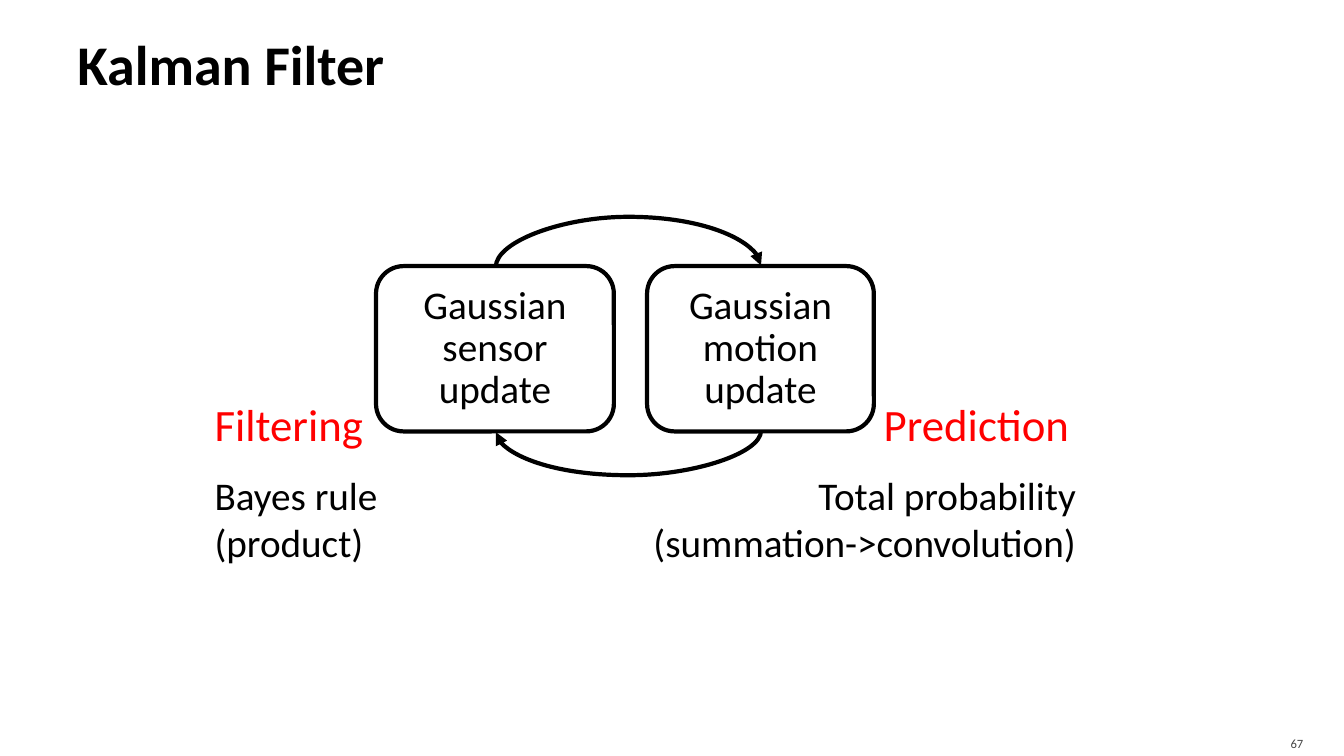
from dataclasses import dataclass

from lxml import etree
from pptx import Presentation
from pptx.dml.color import RGBColor
from pptx.enum import shapes, text
from pptx.oxml import ns
from pptx.util import Pt

HUES = {"ink": "000000", "red": "FF0000", "gray": "454545"}
FONT = "Calibri"
LEFT, RIGHT = text.PP_ALIGN.LEFT, text.PP_ALIGN.RIGHT
MID, TOP = text.MSO_ANCHOR.MIDDLE, text.MSO_ANCHOR.TOP
EDGE = 3
BOX_TOP, BOX_TALL = 190.1, 118.1
ARC_MID, ARC_SPAN = 448.9, 189.4


@dataclass
class Step:
    words: str
    left: float
    wide: float


@dataclass
class Arc:
    """Arrow between the steps; bulge is its height in points."""
    level: float
    bulge: float
    back: bool


@dataclass
class Label:
    words: str
    area: tuple[float, float, float, float]
    size: float
    hue: str = "ink"
    align: int = LEFT
    anchor: int = TOP
    bold: bool = False
    wrap: bool = True
    pad: tuple[float, float, float, float] = (7.2, 3.6, 7.2, 3.6)


STEPS = [
    Step("Gaussian sensor update", 268.6, 169.9),
    Step("Gaussian motion update", 462.2, 162),
]
ARCS = [
    Arc(BOX_TOP, 36, False),
    Arc(BOX_TOP + BOX_TALL, 32, True),
]
LABELS = [
    Label("Kalman Filter", (48.2, 5.8, 864, 77.8), 40, anchor=MID, bold=True,
          pad=(7.2, 3.6, 3.6, 3.6)),
    Label("67", (861.1, 518.4, 77, 21.6), 9, "gray", RIGHT, MID,
          pad=(7.2, 3.6, 7.2, 0)),
    Label("Bayes rule (product)", (146.2, 333.4, 139.7, 74.9), 28),
    Label("Total probability (summation->convolution)",
          (438.5, 333.4, 337, 74.9), 28, align=RIGHT),
    Label("Prediction", (624.2, 280.1, 154.1, 46.1), 32, "red", wrap=False),
    Label("Filtering", (146.2, 280.1, 126.7, 46.1), 32, "red", wrap=False),
]


def tint(hue: str) -> RGBColor:
    return RGBColor.from_string(HUES[hue])


def write(frame, words: str, *, size: float, hue: str = "ink",
          align=LEFT, anchor=TOP, bold: bool = False, wrap: bool = True,
          pad=(0, 0, 0, 0), pitch: float = 1) -> None:
    frame.word_wrap = wrap
    frame.vertical_anchor = anchor
    (frame.margin_left, frame.margin_top,
     frame.margin_right, frame.margin_bottom) = map(Pt, pad)
    para = frame.paragraphs[0]
    para.alignment = align
    para.line_spacing = pitch
    run = para.add_run()
    run.text = words
    run.font.name = FONT
    run.font.size = Pt(size)
    run.font.bold = bold
    run.font.color.rgb = tint(hue)


def draw_step(slide, step: Step) -> None:
    area = map(Pt, (step.left, BOX_TOP, step.wide, BOX_TALL))
    box = slide.shapes.add_shape(shapes.MSO_SHAPE.ROUNDED_RECTANGLE, *area)
    box.shadow.inherit = False
    box.fill.background()
    box.line.color.rgb = tint("ink")
    box.line.width = Pt(EDGE)
    write(box.text_frame, step.words, size=28, align=text.PP_ALIGN.CENTER,
          anchor=MID, pitch=0.9)


def draw_arc(slide, arc: Arc) -> None:
    """Turn a one-point-wide curve by 90 degrees, bulging by its adjustment."""
    side = -1 if arc.back else 1
    dx, dy = side * 0.5, side * ARC_SPAN / 2
    ends = (ARC_MID + dx, arc.level + dy, ARC_MID - dx, arc.level - dy)
    line = slide.shapes.add_connector(shapes.MSO_CONNECTOR.CURVE,
                                      *map(Pt, ends))
    line.line.color.rgb = tint("ink")
    line.line.width = Pt(EDGE)
    props = line._element.spPr
    props.find(ns.qn("a:xfrm")).set("rot", "5400000")
    guides = props.find(ns.qn("a:prstGeom")).get_or_add_avLst()
    etree.SubElement(guides, ns.qn("a:gd"), name="adj1",
                     fmla=f"val {arc.bulge * 100000}")
    etree.SubElement(props.find(ns.qn("a:ln")), ns.qn("a:tailEnd"),
                     type="triangle")
    etree.SubElement(props, ns.qn("a:effectLst"))


def draw_label(slide, label: Label) -> None:
    box = slide.shapes.add_textbox(*map(Pt, label.area))
    write(box.text_frame, label.words, size=label.size, hue=label.hue,
          align=label.align, anchor=label.anchor, bold=label.bold,
          wrap=label.wrap, pad=label.pad)


def main() -> None:
    deck = Presentation()
    deck.slide_width, deck.slide_height = Pt(960), Pt(540)
    slide = deck.slides.add_slide(deck.slide_layouts[6])
    for step in STEPS:
        draw_step(slide, step)
    for arc in ARCS:
        draw_arc(slide, arc)
    for label in LABELS:
        draw_label(slide, label)
    deck.save("out.pptx")


if __name__ == "__main__":
    main()
